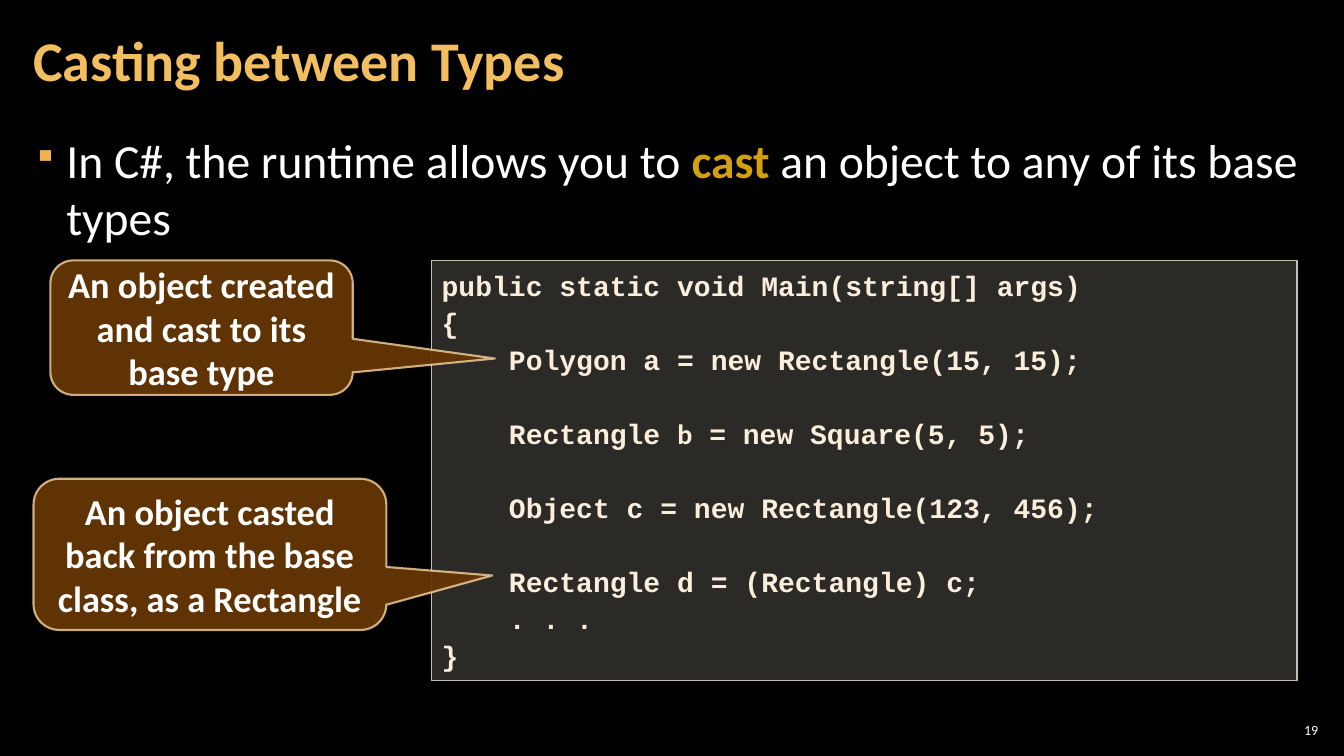
from dataclasses import dataclass

from lxml.etree import SubElement
from pptx import Presentation
from pptx.dml.color import RGBColor as Rgb
from pptx.enum.shapes import MSO_SHAPE as Kind
from pptx.enum.text import MSO_ANCHOR as Anchor, PP_ALIGN as Align
from pptx.oxml.ns import qn
from pptx.util import Inches, Pt


@dataclass(frozen=True)
class Theme:
    back: str = "000000"
    text: str = "FFFFFF"
    title: str = "F3BE60"
    bullet: str = "F2B254"
    key: str = "D2A010"
    code: str = "FBEEDC"
    panel: str = "D9D5C7"
    border: str = "C7BFAC"
    note: str = "663606"
    edge: str = "F8D49E"
    sans: str = "Calibri"
    mono: str = "Courier New"
    head_size: int = 40
    body_size: int = 34
    note_size: int = 26
    code_size: int = 20
    page_size: int = 10


THEME = Theme()
COLS, ROWS = 160, 90
WIDTH, HEIGHT = Inches(13.33), Inches(7.5)

CODE = """public static void Main(string[] args)
{
    Polygon a = new Rectangle(15, 15);

    Rectangle b = new Square(5, 5);

    Object c = new Rectangle(123, 456);

    Rectangle d = (Rectangle) c;
    . . .
}"""

NOTES = [
    ("An object created and cast to its base type",
     (6, 31, 36, 16), (0.97, 0.23, 0.17)),
    ("An object casted back from the base class, as a Rectangle",
     (4, 57, 42, 18), (0.8, 0.14, 0.17)),
]


def grid(col, row, wide, high):
    """Turn grid columns and rows into slide lengths."""
    x, y = WIDTH / COLS, HEIGHT / ROWS
    return int(col * x), int(row * y), int(wide * x), int(high * y)


def style(font, size, color, bold=False, name=THEME.sans):
    font.size, font.bold, font.name = Pt(size), bold, name
    font.color.rgb = Rgb.from_string(color)


def setup(frame, side=0.1, top=0.05, anchor=Anchor.TOP):
    frame.word_wrap = True
    frame.vertical_anchor = anchor
    frame.margin_left = frame.margin_right = Inches(side)
    frame.margin_top = frame.margin_bottom = Inches(top)


def fade(part, share):
    """Set the opacity, in percent, of a solid fill or line."""
    color = part.find(qn("a:solidFill"))[0]
    SubElement(color, qn("a:alpha")).set("val", str(share * 1000))


def add_block(slide, kind, box, fill, share, line, width):
    shape = slide.shapes.add_shape(kind, *grid(*box))
    shape.shadow.inherit = False
    shape.fill.solid()
    shape.fill.fore_color.rgb = Rgb.from_string(fill)
    shape.line.color.rgb = Rgb.from_string(line)
    shape.line.width = Pt(width)
    fade(shape.element.spPr, share)
    return shape


def add_title(slide, text):
    title = slide.shapes.title
    title.left, title.top, title.width, title.height = grid(2.5, 0.5, 125.6, 14.5)
    frame = title.text_frame
    setup(frame, 0.12, 0.04, Anchor.MIDDLE)
    frame.text = text
    para = frame.paragraphs[0]
    para.alignment, para.line_spacing = Align.LEFT, Pt(40)
    style(para.runs[0].font, THEME.head_size, THEME.title, True)


def add_bullet(slide, parts):
    """Add one bulleted line from (text, is key word) parts."""
    frame = slide.shapes.add_textbox(*grid(2.5, 15.1, 155, 15)).text_frame
    setup(frame, 0.12, 0.04)
    para = frame.paragraphs[0]
    props = para._p.get_or_add_pPr()
    props.set("marL", str(Inches(0.33)))
    props.set("indent", str(Inches(-0.33)))
    color = SubElement(props, qn("a:buClr"))
    SubElement(color, qn("a:srgbClr")).set("val", THEME.bullet)
    SubElement(props, qn("a:buSzPct")).set("val", "70000")
    SubElement(props, qn("a:buChar")).set("char", "▪")
    for text, key in parts:
        run = para.add_run()
        run.text = text
        style(run.font, THEME.body_size, THEME.key if key else THEME.text, key)


def add_code(slide, code, plain):
    """Add the code panel; the name in plain is set in the sans font."""
    panel = add_block(slide, Kind.RECTANGLE, (51.4, 31, 103, 50),
                      THEME.panel, 20, THEME.border, 1)
    frame = panel.text_frame
    setup(frame)
    frame.text = code
    for para in frame.paragraphs:
        para.alignment, para.line_spacing = Align.LEFT, 1.1
        style(para.font, THEME.code_size, THEME.code, True, THEME.mono)
        head, mark, tail = para.text.partition(f" {plain} ")
        if mark:
            para.runs[0].text = f"{head} "
            for text in (plain, f" {tail}"):
                para.add_run().text = text
        for run in para.runs:
            name = THEME.sans if run.text == plain else THEME.mono
            style(run.font, THEME.code_size, THEME.code, True, name)


def add_note(slide, text, box, tip):
    note = add_block(slide, Kind.ROUNDED_RECTANGULAR_CALLOUT, box,
                     THEME.note, 95, THEME.edge, 1.5)
    fade(note.line._ln, 80)
    for i, value in enumerate(tip):
        note.adjustments[i] = value
    frame = note.text_frame
    setup(frame, anchor=Anchor.MIDDLE)
    frame.text = text
    para = frame.paragraphs[0]
    para.alignment = Align.CENTER
    style(para.runs[0].font, THEME.note_size, THEME.text, True)


def add_page(slide, number):
    frame = slide.shapes.add_textbox(*grid(151.8, 85.7, 5.6, 2.5)).text_frame
    setup(frame, 0.04, 0.04, Anchor.MIDDLE)
    frame.text = number
    para = frame.paragraphs[0]
    para.alignment = Align.RIGHT
    style(para.runs[0].font, THEME.page_size, THEME.text)


def main():
    deck = Presentation()
    deck.slide_width, deck.slide_height = WIDTH, HEIGHT
    slide = deck.slides.add_slide(deck.slide_layouts[5])
    slide.background.fill.solid()
    slide.background.fill.fore_color.rgb = Rgb.from_string(THEME.back)
    add_title(slide, "Casting between Types")
    add_bullet(slide, [("In C#, the runtime allows you to ", False),
                       ("cast ", True),
                       ("an object to any of its base types", False)])
    add_page(slide, "19")
    add_code(slide, CODE, "b")
    for text, box, tip in NOTES:
        add_note(slide, text, box, tip)
    deck.save("out.pptx")


if __name__ == "__main__":
    main()
